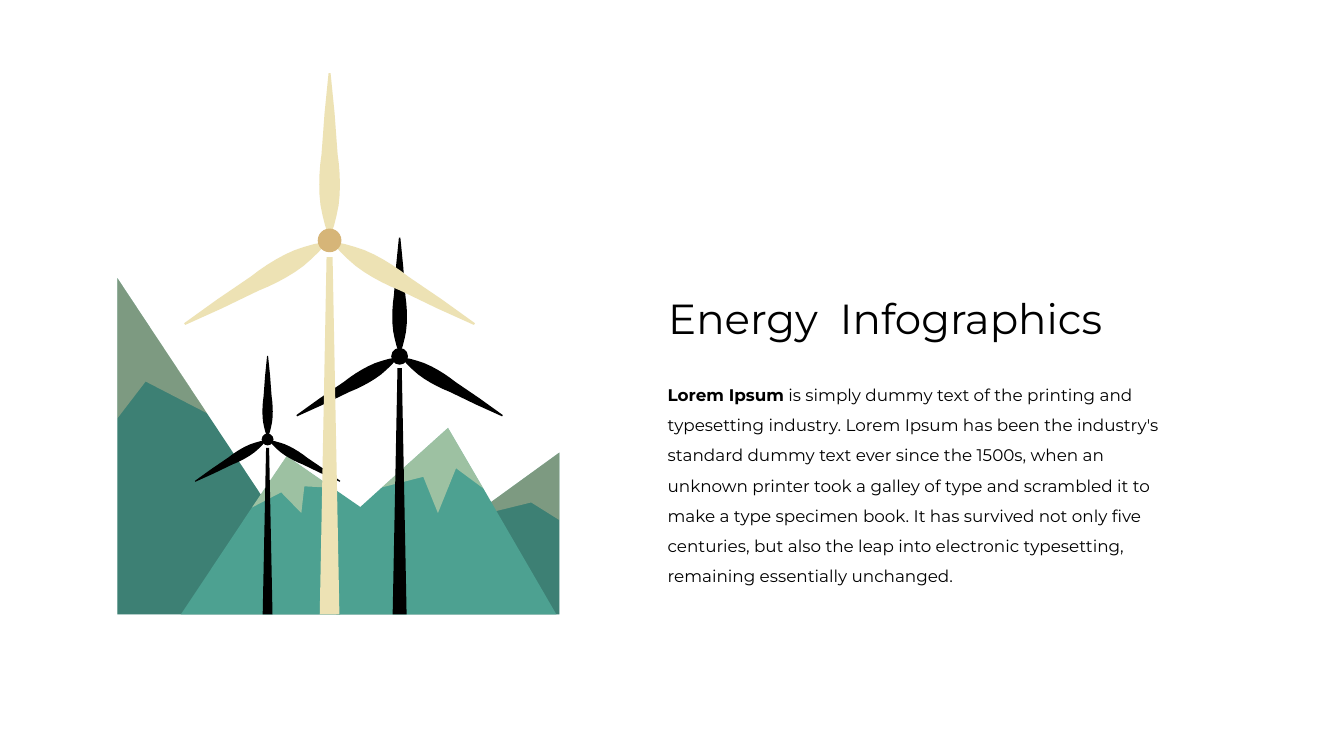
"""Build the Energy Infographics slide with wind turbines in front of mountains."""
import math
from dataclasses import dataclass

import pptx
import pptx.dml.color
import pptx.enum.shapes
import pptx.enum.text
import pptx.oxml.ns
import pptx.oxml.xmlchemy
import pptx.shapes.base
import pptx.shapes.shapetree
import pptx.text.text
import pptx.util
from pptx.util import Inches

Point = tuple[float, float]

COLORS = {
    "text": "000000",
    "shade": "000000",
    "silhouette": "000000",
    "slope": "4DA191",
    "sand": "EDE2B4",
    "hub": "D6B578",
}
FONT = "Montserrat"
GROUND = 12.19
BLADE_EDGE = [
    (0.02, 0.1), (0.09, 0.3), (0.14, 0.5), (0.18, 0.7), (0.2, 0.91), (0.205, 1.11),
    (0.2, 1.31), (0.185, 1.51), (0.16, 1.71), (0.13, 2.11), (0.1, 2.52), (0.02, 3.32),
]
BLADE = BLADE_EDGE + [(-x, y) for x, y in reversed(BLADE_EDGE)]
HUB_RADIUS = 0.235


@dataclass
class Mountain:
    """A slope with its pale peaks, darkened when it lies behind."""

    slope: list[Point]
    peaks: list[list[Point]]
    shaded: bool


@dataclass
class Turbine:
    """A wind turbine given by its hub centre and relative size."""

    x: float
    y: float
    scale: float
    body: str
    hub: str


MOUNTAINS = [
    Mountain(
        [(2.33, 5.52), (6.75, GROUND), (2.33, GROUND)],
        [[(4.11, 8.2), (2.33, 5.52), (2.33, 8.3), (2.89, 7.57)]],
        True,
    ),
    Mountain(
        [(11.1, 8.98), (6.67, GROUND), (11.1, GROUND)],
        [[(9.32, 10.27), (11.1, 8.98), (11.1, 10.32), (10.54, 9.97)]],
        True,
    ),
    Mountain(
        [(3.59, GROUND), (11.04, GROUND), (9.59, 9.69), (8.89, 8.49), (7.58, 9.67),
         (7.15, 10.06), (6.6, 9.68), (5.69, 9.05), (5, 10.07)],
        [
            [(9.59, 9.69), (8.89, 8.49), (7.58, 9.67), (8.4, 9.46), (8.69, 10.18), (9.05, 9.29)],
            [(6.6, 9.68), (5.69, 9.05), (5, 10.07), (5.58, 9.77), (5.98, 10.18), (6.04, 9.65)],
        ],
        False,
    ),
]
TURBINES = [
    Turbine(7.93, 7.07, 0.71, "silhouette", "silhouette"),
    Turbine(5.31, 8.72, 0.5, "silhouette", "silhouette"),
    Turbine(6.54, 4.77, 1, "sand", "hub"),
]


def paint(shape: pptx.shapes.base.BaseShape, color: str, opacity: int = 100) -> None:
    """Give a shape a plain fill without outline or shadow."""
    shape.shadow.inherit = False
    shape.line.fill.background()
    shape.fill.solid()
    shape.fill.fore_color.rgb = pptx.dml.color.RGBColor.from_string(COLORS[color])
    if opacity < 100:
        qn = pptx.oxml.ns.qn
        srgb = shape.element.spPr.find(f"{qn('a:solidFill')}/{qn('a:srgbClr')}")
        alpha = srgb.makeelement(qn("a:alpha"), {"val": str(opacity * 1000)})
        srgb.append(alpha)


def draw_outline(shapes: pptx.shapes.shapetree.GroupShapes, points: list[Point],
                 color: str, opacity: int = 100) -> None:
    """Draw a closed outline through points given in inches."""
    corners = [(Inches(x), Inches(y)) for x, y in points]
    builder = shapes.build_freeform(*corners[0])
    builder.add_line_segments(corners[1:], close=True)
    paint(builder.convert_to_shape(), color, opacity)


def draw_mountain(shapes: pptx.shapes.shapetree.GroupShapes, mountain: Mountain) -> None:
    """Draw the slope, its peaks and the shade over them."""
    draw_outline(shapes, mountain.slope, "slope")
    for peak in mountain.peaks:
        draw_outline(shapes, peak, "sand", 50)
    if mountain.shaded:
        draw_outline(shapes, mountain.slope, "shade", 20)


def draw_turbine(shapes: pptx.shapes.shapetree.GroupShapes, turbine: Turbine) -> None:
    """Draw three blades, the hub and the tower."""
    size = turbine.scale
    for degrees in (0, 120, 240):
        sin, cos = math.sin(math.radians(degrees)), math.cos(math.radians(degrees))
        blade = [(turbine.x + size * (x * cos + y * sin), turbine.y + size * (x * sin - y * cos))
                 for x, y in BLADE]
        draw_outline(shapes, blade, turbine.body)
    radius = HUB_RADIUS * size
    hub = shapes.add_shape(
        pptx.enum.shapes.MSO_SHAPE.OVAL, Inches(turbine.x - radius), Inches(turbine.y - radius),
        Inches(2 * radius), Inches(2 * radius))
    paint(hub, turbine.hub)
    top, foot, head = turbine.y + 0.33 * size, 0.195 * size, 0.06 * size
    tower = [(turbine.x - head, top), (turbine.x + head, top),
             (turbine.x + foot, GROUND), (turbine.x - foot, GROUND)]
    draw_outline(shapes, tower, turbine.body)


def prepare_frame(shape: pptx.shapes.base.BaseShape, left: float, top: float,
                  width: float, height: float) -> pptx.text.text._Paragraph:
    """Place a text shape and return its first paragraph, left aligned."""
    shape.left, shape.top = Inches(left), Inches(top)
    shape.width, shape.height = Inches(width), Inches(height)
    frame = shape.text_frame
    frame.word_wrap = True
    frame.auto_size = pptx.enum.text.MSO_AUTO_SIZE.SHAPE_TO_FIT_TEXT
    frame.vertical_anchor = pptx.enum.text.MSO_ANCHOR.TOP
    paragraph = frame.paragraphs[0]
    paragraph.alignment = pptx.enum.text.PP_ALIGN.LEFT
    return paragraph


def add_run(paragraph: pptx.text.text._Paragraph, text: str, size: int, bold: bool = False) -> None:
    """Add one formatted run."""
    run = paragraph.add_run()
    run.text = text
    run.font.name = FONT
    run.font.size = pptx.util.Pt(size)
    run.font.bold = bold
    run.font.color.rgb = pptx.dml.color.RGBColor.from_string(COLORS["text"])


def main() -> None:
    """Assemble and save the slide."""
    deck = pptx.Presentation()
    deck.slide_width, deck.slide_height = Inches(26.67), Inches(15)
    slide = deck.slides.add_slide(deck.slide_layouts.get_by_name("Title Only"))

    title = prepare_frame(slide.shapes.title, 13.16, 5.75, 10.91, 1.11)
    add_run(title, "Energy  Infographics", 60)

    landscape = slide.shapes.add_group_shape().shapes
    for mountain in MOUNTAINS:
        draw_mountain(landscape, mountain)
    for turbine in TURBINES:
        draw_turbine(landscape, turbine)

    description_box = slide.shapes.add_textbox(0, 0, 0, 0)
    description = prepare_frame(description_box, 13.15, 7.38, 9.98, 4.27)
    description.line_spacing = 1.5
    add_run(description, "Lorem Ipsum", 24, bold=True)
    add_run(
        description,
        " is simply dummy text of the printing and typesetting industry. "
        "Lorem Ipsum has been the industry's standard dummy text ever since the 1500s, "
        "when an unknown printer took a galley of type and scrambled it to make a type "
        "specimen book. It has survived not only five centuries, but also the leap into "
        "electronic typesetting, remaining essentially unchanged.",
        24)
    deck.save("out.pptx")


if __name__ == "__main__":
    main()
